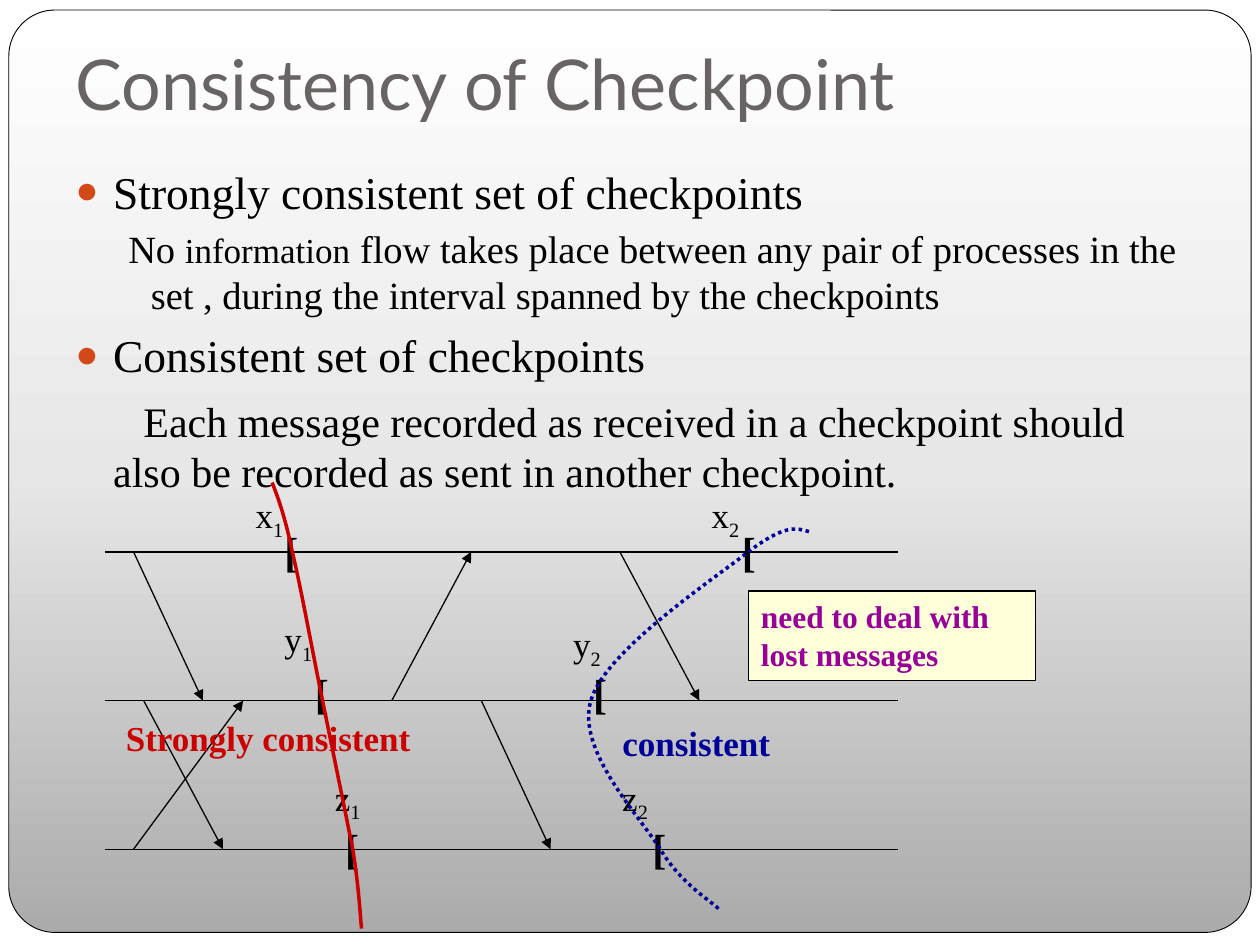
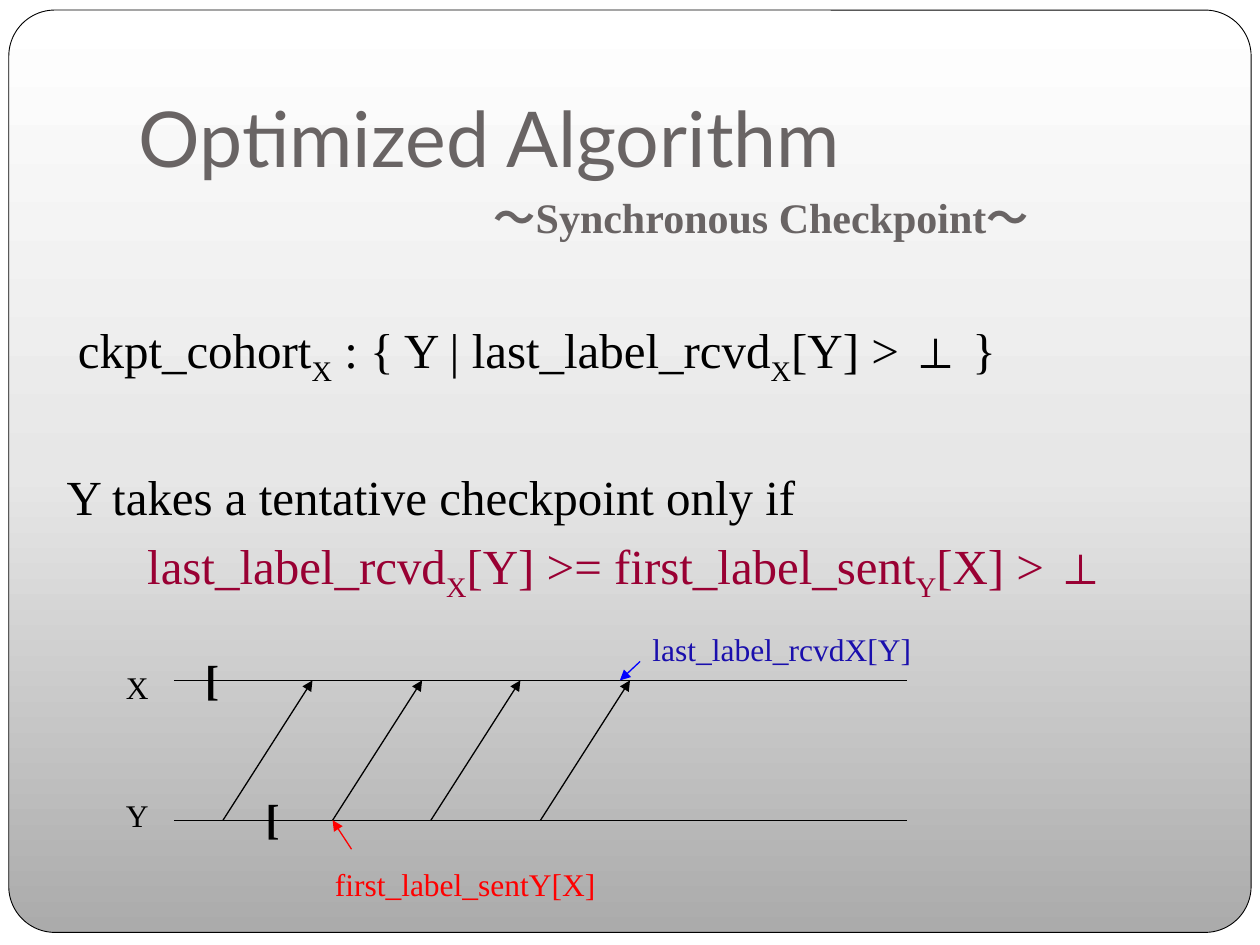
from copy import deepcopy

from lxml import etree
from pptx import Presentation
from pptx import util as u
from pptx.dml.color import RGBColor
from pptx.enum import dml, shapes, text
from pptx.oxml.ns import qn

SERIF, SANS = "Times New Roman", "Lato"
BLACK, GREY, ORANGE = "000000", "696464", "D34817"
RED, NAVY, PURPLE, WINE = "CC0000", "000099", "990099", "990033"
FRAME_STOPS = [(0, "ABABAB"), (0.5, "E7E7E7"), (1, "FFFFFF")]


def rgb(color):
    return RGBColor.from_string(color)


def box(*inches):
    return [u.Inches(value) for value in inches]


def style(run, size, color=BLACK, bold=False, font=SERIF):
    run.font.size, run.font.name = u.Pt(size), font
    run.font.bold, run.font.color.rgb = bold, rgb(color)


def write(paragraph, pieces, size, color=BLACK, bold=False):
    """Add runs; every second piece is a subscript."""
    for i, piece in enumerate(pieces):
        run = paragraph.add_run()
        run.text = piece
        style(run, size, color, bold)
        if i % 2:
            run.font._element.set("baseline", "-25000")


def outline(line, color, width):
    line.color.rgb, line.width = rgb(color), u.Pt(width)


def add_frame(layout, slide):
    """Put the rounded gradient frame on the layout, behind everything."""
    layout.background.fill.solid()
    layout.background.fill.fore_color.rgb = rgb("FFFFFF")
    frame = slide.shapes.add_shape(shapes.MSO_SHAPE.ROUNDED_RECTANGLE,
                                   *box(0.07, 0.08, 9.86, 7.32))
    frame.adjustments[0] = 0.05
    frame.shadow.inherit = False
    outline(frame.line, BLACK, 0.5)
    frame.fill.gradient()
    frame.fill.gradient_angle = 90
    stop_list = frame.element.find(".//" + qn("a:gsLst"))
    stop_list.insert(1, deepcopy(stop_list[0]))
    for stop, (position, color) in zip(frame.fill.gradient_stops, FRAME_STOPS):
        stop.position, stop.color.rgb = position, rgb(color)
    layout.shapes.element.insert(2, frame.element)


def set_title(slide, words, place, size):
    title = slide.shapes.title
    title.left, title.top, title.width, title.height = box(*place)
    frame = title.text_frame
    frame.text = words
    frame.auto_size = text.MSO_AUTO_SIZE.NONE
    frame.vertical_anchor = text.MSO_ANCHOR.BOTTOM
    frame.margin_bottom = u.Inches(0.1)
    frame.paragraphs[0].alignment = text.PP_ALIGN.LEFT
    style(frame.paragraphs[0].runs[0], size, GREY, font=SANS)


def add_label(slide, place, pieces, size, color=BLACK, bold=False):
    label = slide.shapes.add_textbox(*box(*place))
    label.text_frame.word_wrap = True
    write(label.text_frame.paragraphs[0], pieces, size, color, bold)


def add_bracket(slide, x, y):
    """Mark a checkpoint on a process line."""
    add_label(slide, (x, y, 0.47, 0.5), ["["], 24, bold=True)


def add_body(slide, place, count):
    """Return the paragraphs of a new body text."""
    frame = slide.shapes.add_textbox(*box(*place)).text_frame
    frame.word_wrap = True
    for _ in range(count - 1):
        frame.add_paragraph()
    return frame.paragraphs


def indent(paragraph, left, first, before, bullet=False):
    paragraph.space_before = u.Pt(before)
    props = paragraph._p.get_or_add_pPr()
    props.set("marL", str(u.Inches(left)))
    props.set("indent", str(u.Inches(first)))
    if bullet:
        color = etree.SubElement(props, qn("a:buClr"))
        etree.SubElement(color, qn("a:srgbClr"), val=ORANGE)
        etree.SubElement(props, qn("a:buSzPct"), val="85000")
        etree.SubElement(props, qn("a:buFont"), typeface=SERIF)
        etree.SubElement(props, qn("a:buChar"), char="●")


def add_line(slide, start, end, color=BLACK, arrow=False):
    line = slide.shapes.add_connector(shapes.MSO_CONNECTOR.STRAIGHT,
                                      *box(*start, *end))
    outline(line.line, color, 0.75)
    if arrow:
        etree.SubElement(line.line._get_or_add_ln(), qn("a:tailEnd"), type="triangle")
    etree.SubElement(line.element.spPr, qn("a:effectLst"))


def add_curve(slide, knots, color, dash=None):
    """Draw joined Bezier segments: a start, then three points for each."""
    builder = slide.shapes.build_freeform(*box(*knots[0]))
    builder.add_line_segments([box(*knot) for knot in knots[1:]], close=False)
    cut = builder.convert_to_shape()
    straights = list(cut.element.iter(qn("a:lnTo")))
    for i in range(0, len(straights), 3):
        bend = etree.SubElement(straights[i].getparent(), qn("a:cubicBezTo"))
        for straight in straights[i:i + 3]:
            bend.append(straight[0])
            straight.getparent().remove(straight)
    cut.fill.background()
    cut.shadow.inherit = False
    outline(cut.line, color, 2)
    if dash:
        cut.line.dash_style = dash


def add_note(slide, place, words):
    note = slide.shapes.add_shape(shapes.MSO_SHAPE.RECTANGLE, *box(*place))
    note.shadow.inherit = False
    note.fill.solid()
    note.fill.fore_color.rgb = rgb("FFFFD9")
    outline(note.line, BLACK, 0.75)
    note.text_frame.word_wrap = True
    note.text_frame.vertical_anchor = text.MSO_ANCHOR.TOP
    paragraph = note.text_frame.paragraphs[0]
    paragraph.alignment = text.PP_ALIGN.LEFT
    write(paragraph, [words], 18, PURPLE, True)


def build_consistency(slide):
    set_title(slide, "Consistency of Checkpoint", (0.5, 0.23, 9, 0.86), 40)

    strong, strong_rule, weak, weak_rule = add_body(slide, (0.5, 1.25, 9, 6.02), 4)
    for heading, words in ((strong, "Strongly consistent set of checkpoints"),
                           (weak, "Consistent set of checkpoints")):
        indent(heading, 0.3, -0.3, 5.8, bullet=True)
        write(heading, [words], 26)
    indent(strong_rule, 0.6, -0.18, 3.7)
    for words, size in (("No ", 22), ("information", 20),
                        (" flow takes place between any pair of processes in the set , "
                         "during the interval spanned by the checkpoints", 22)):
        write(strong_rule, [words], size)
    indent(weak_rule, 0.3, 0.24, 7.5)
    write(weak_rule, ["Each message recorded as received in a checkpoint should "
                      "also be recorded as sent in another checkpoint."], 24)

    x, y, z = 4.38, 5.56, 6.74
    for process in (x, y, z):
        add_line(slide, (0.83, process), (7.13, process))
    messages = [(1.06, x, 1.61, y), (1.06, z, 1.93, y), (1.14, y, 1.77, z),
                (3.11, y, 3.74, x), (3.82, y, 4.37, z), (4.92, x, 5.55, y)]
    for sent_x, sent_y, got_x, got_y in messages:
        add_line(slide, (sent_x, sent_y), (got_x, got_y), arrow=True)

    checkpoints = [("x", "1", 1.93, 3.87, 2.16, 4.12), ("y", "1", 2.16, 4.85, 2.4, 5.25),
                   ("z", "1", 2.56, 6.11, 2.64, 6.48), ("x", "2", 5.55, 3.87, 5.79, 4.12),
                   ("y", "2", 4.45, 4.89, 4.61, 5.25), ("z", "2", 4.84, 6.11, 5.08, 6.48)]
    for name, number, left, top, mark_x, mark_y in checkpoints:
        add_bracket(slide, mark_x, mark_y)
        add_label(slide, (left, top, 0.63, 0.43), [name, number], 20)

    add_curve(slide, [(2.16, 3.83), (2.21, 3.96), (2.26, 4.09), (2.32, 4.38),
                      (2.39, 4.67), (2.48, 5.17), (2.56, 5.56),
                      (2.64, 5.95), (2.74, 6.44), (2.8, 6.74),
                      (2.85, 7.05), (2.86, 7.28), (2.87, 7.37)], RED)
    add_label(slide, (0.9, 5.64, 2.91, 0.43), ["Strongly consistent"], 20, RED, True)
    add_curve(slide, [(6.42, 4.22), (6.32, 4.19), (6.23, 4.16), (5.94, 4.38),
                      (5.66, 4.6), (4.8, 5.17), (4.69, 5.56),
                      (4.57, 5.95), (5.07, 6.47), (5.24, 6.74),
                      (5.41, 7.02), (5.63, 7.14), (5.71, 7.22)],
              NAVY, dml.MSO_LINE.ROUND_DOT)
    add_label(slide, (4.84, 5.68, 1.81, 0.43), ["consistent"], 20, NAVY, True)
    add_note(slide, (5.94, 4.69, 2.28, 0.71), "need to deal with lost messages")


def build_algorithm(slide):
    set_title(slide, "Optimized Algorithm", (1, 0.3, 8.5, 1.25), 44)
    add_label(slide, (3.82, 1.47, 5.83, 0.5), ["～Synchronous Checkpoint～"], 24, GREY, True)

    cohort, rule, condition = add_body(slide, (0.43, 2.49, 9, 4.82), 3)
    indent(cohort, 0.09, 0, 5.8)
    write(cohort, ["ckpt_cohort", "X", " : { Y | last_label_rcvd", "X", "[Y] > ⊥ }"], 28)
    indent(rule, 0, 0, 45.7)
    write(rule, ["Y takes a tentative checkpoint only if"], 28)
    indent(condition, 0.64, 0, 5.8)
    write(condition, ["last_label_rcvd", "X", "[Y] >= first_label_sent", "Y", "[X] > ⊥"],
          28, WINE)

    receiver, sender = 5.4, 6.51
    for name, process, top in (("X", receiver, 5.25), ("Y", sender, 6.27)):
        add_line(slide, (1.38, process), (7.2, process))
        add_label(slide, (0.9, top, 0.59, 0.4), [name], 18)
    for sent in (1.77, 2.64, 3.42, 4.29):
        add_line(slide, (sent, sender), (sent + 0.71, receiver), arrow=True)
    add_bracket(slide, 1.53, 5.14)
    add_bracket(slide, 2.01, 6.24)

    add_label(slide, (5.08, 4.95, 2.34, 0.4), ["last_label_rcvdX[Y]"], 18, "1A0FAD")
    add_line(slide, (5.08, 5.25), (4.92, receiver), "0000FF", arrow=True)
    add_label(slide, (2.56, 6.82, 2.36, 0.4), ["first_label_sentY[X]"], 18, "FF0000")
    add_line(slide, (2.79, 6.74), (2.64, sender), "FF0000", arrow=True)


def main():
    deck = Presentation()
    deck.slide_width, deck.slide_height = box(10, 7.5)
    title_only = deck.slide_layouts[5]
    consistency, algorithm = [deck.slides.add_slide(title_only) for _ in range(2)]
    add_frame(title_only, consistency)
    build_consistency(consistency)
    build_algorithm(algorithm)
    deck.save("out.pptx")


if __name__ == "__main__":
    main()
